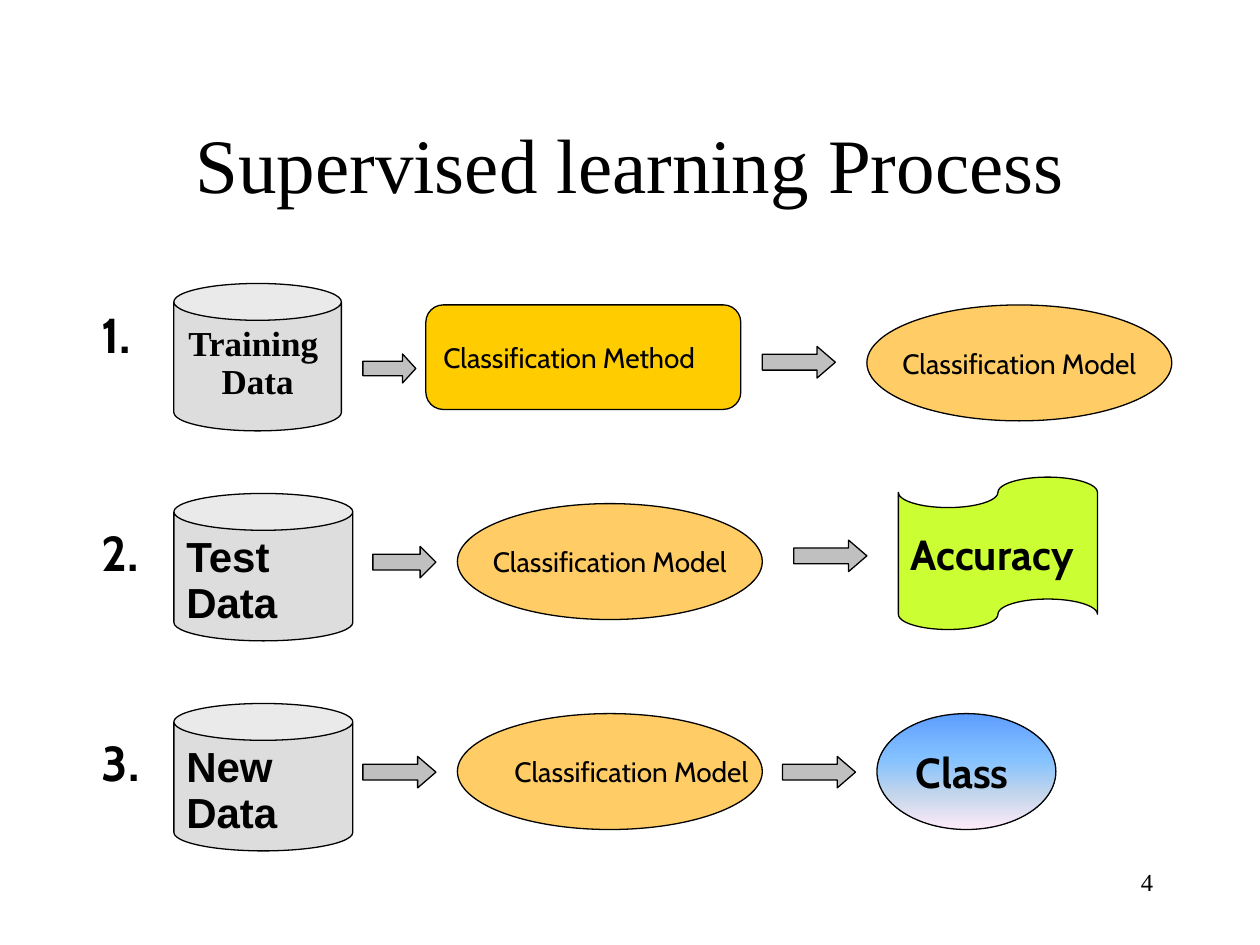
from copy import deepcopy

from pptx import Presentation
from pptx.dml.color import RGBColor
from pptx.enum.shapes import MSO_SHAPE as Shape
from pptx.enum.text import MSO_ANCHOR as Anchor, MSO_AUTO_SIZE as AutoSize, PP_ALIGN as Align
from pptx.oxml.ns import qn
from pptx.util import Inches, Pt

COLORS = {
    "ink": "000000",
    "store": "DDDDDD",
    "arrow": "C0C0C0",
    "method": "FFCC00",
    "model": "FFCC66",
    "accuracy": "CCFF33",
}
CLASS_GRADIENT = [(0, "5E9EFF"), (0.4, "85C2FF"), (0.7, "C4D6EB"), (1, "FFEBFA")]
SERIF, SANS, LABEL = "Times New Roman", "Arial", "Cabin"

# Three rows at an equal pitch; all tops below are offsets from the row top
ROW_TOPS = [2.25 + row * 5 / 3 for row in range(3)]
MODEL_SIZE = (2.42, 0.92)
STORE_HEIGHT = 1.17


def rgb(name):
    return RGBColor.from_string(COLORS.get(name, name))


def box(left, top, width, height):
    return [Inches(length) for length in (left, top, width, height)]


def write(item, text, size, font=LABEL, bold=False, align=Align.LEFT,
          anchor=Anchor.MIDDLE, wrap=False, spacing=None, hanging=0):
    frame = item.text_frame
    frame.text = text
    frame.word_wrap = wrap
    frame.vertical_anchor = anchor
    for paragraph in frame.paragraphs:
        paragraph.alignment = align
        if spacing:
            paragraph.line_spacing = spacing
        if hanging:
            properties = paragraph._p.get_or_add_pPr()
            properties.set("marL", str(Inches(hanging)))
            properties.set("indent", str(-Inches(hanging)))
        for run in paragraph.runs:
            run.font.size = Pt(size)
            run.font.name = font
            run.font.bold = bold
            run.font.color.rgb = rgb("ink")


def add_node(slide, kind, place, color=None):
    node = slide.shapes.add_shape(kind, *box(*place))
    node.shadow.inherit = False
    node.line.color.rgb = rgb("ink")
    node.line.width = Pt(0.75)
    if color:
        node.fill.solid()
        node.fill.fore_color.rgb = rgb(color)
    return node


def add_label(slide, text, place, size, grow=False, **style):
    label = slide.shapes.add_textbox(*box(*place))
    write(label, text, size, anchor=Anchor.TOP, **style)
    if grow:
        label.text_frame.auto_size = AutoSize.SHAPE_TO_FIT_TEXT


def add_store(slide, text, top, width, size, font, align=Align.LEFT):
    store = add_node(slide, Shape.CAN, (1.38, top, width, STORE_HEIGHT), "store")
    write(store, text, size, font, bold=True, align=align, anchor=Anchor.TOP,
          wrap=True, spacing=0.9, hanging=0.38)


def add_arrow(slide, left, top, width=0.58, height=0.25):
    arrow = add_node(slide, Shape.RIGHT_ARROW, (left, top, width, height), "arrow")
    arrow.adjustments[1] = width / height / 4  # head takes a quarter of the length


def add_model(slide, left, top, align=Align.CENTER):
    model = add_node(slide, Shape.OVAL, (left, top, *MODEL_SIZE), "model")
    write(model, "Classification Model", 16, align=align)


def fill_gradient(node, stops):
    node.fill.gradient()
    node.fill.gradient_angle = 270
    stop_list = node._element.spPr.find(".//" + qn("a:gsLst"))
    while len(stop_list) < len(stops):
        stop_list.append(deepcopy(stop_list[0]))
    for stop, (position, color) in zip(node.fill.gradient_stops, stops):
        stop.position = position
        stop.color.rgb = rgb(color)


def add_training_row(slide, top):
    add_store(slide, "Training \nData", top, 1.33, 20, SERIF, Align.CENTER)
    add_arrow(slide, 2.88, top + 0.56, 0.42, 0.23)
    method = add_node(slide, Shape.ROUNDED_RECTANGLE, (3.38, top + 0.17, 2.5, 0.83), "method")
    write(method, "Classification Method", 16)
    add_arrow(slide, 6.05, top + 0.5)
    add_model(slide, 6.88, top + 0.17)


def add_test_row(slide, top):
    add_store(slide, "Test\nData", top, 1.42, 24, SANS)
    add_arrow(slide, 2.96, top + 0.42, 0.5)
    add_model(slide, 3.63, top + 0.08)
    add_arrow(slide, 6.3, top + 0.37)
    accuracy = add_node(slide, Shape.FLOWCHART_PUNCHED_TAPE,
                        (7.13, top - 0.13, 1.58, 1.21), "accuracy")
    write(accuracy, "Accuracy", 24, bold=True)


def add_new_data_row(slide, top):
    add_store(slide, "New\nData", top, 1.42, 24, SANS)
    add_arrow(slide, 2.88, top + 0.42)
    add_model(slide, 3.63, top + 0.08, Align.LEFT)
    add_arrow(slide, 6.21, top + 0.42)
    predicted_class = add_node(slide, Shape.OVAL, (6.96, top + 0.08, 1.42, 0.92))
    fill_gradient(predicted_class, CLASS_GRADIENT)
    write(predicted_class, "Class", 24, bold=True)


def main():
    deck = Presentation()
    deck.slide_width, deck.slide_height = Inches(10), Inches(7.5)
    slide = deck.slides.add_slide(deck.slide_layouts[5])

    # Title and page number
    title = slide.shapes.title
    title.left, title.top, title.width, title.height = box(0.75, 0.67, 8.5, 1.25)
    write(title, "Supervised learning Process", 44, SERIF, align=Align.CENTER, wrap=True)
    add_label(slide, "4", (7.17, 6.83, 2.08, 0.5), 14, font=SERIF, align=Align.RIGHT, wrap=True)

    # Numbered process rows
    add_rows = [add_training_row, add_test_row, add_new_data_row]
    number_offsets = [0.12, 0.18, 0.18]
    for number, (add_row, top, offset) in enumerate(zip(add_rows, ROW_TOPS, number_offsets), 1):
        add_label(slide, f"{number}.", (0.71, top + offset, 0.57, 0.57), 28, grow=True, bold=True)
        add_row(slide, top)

    deck.save("out.pptx")


if __name__ == "__main__":
    main()
